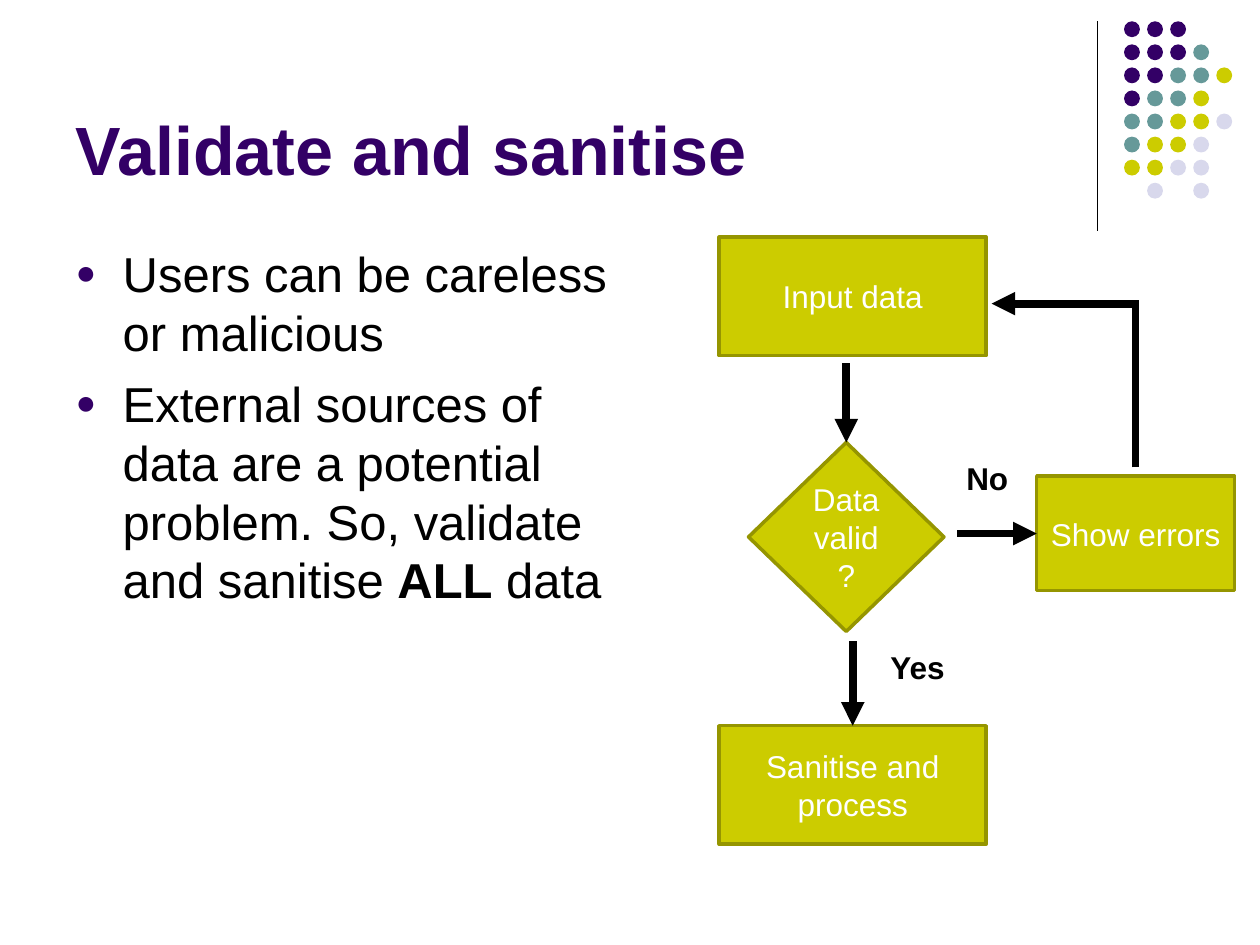
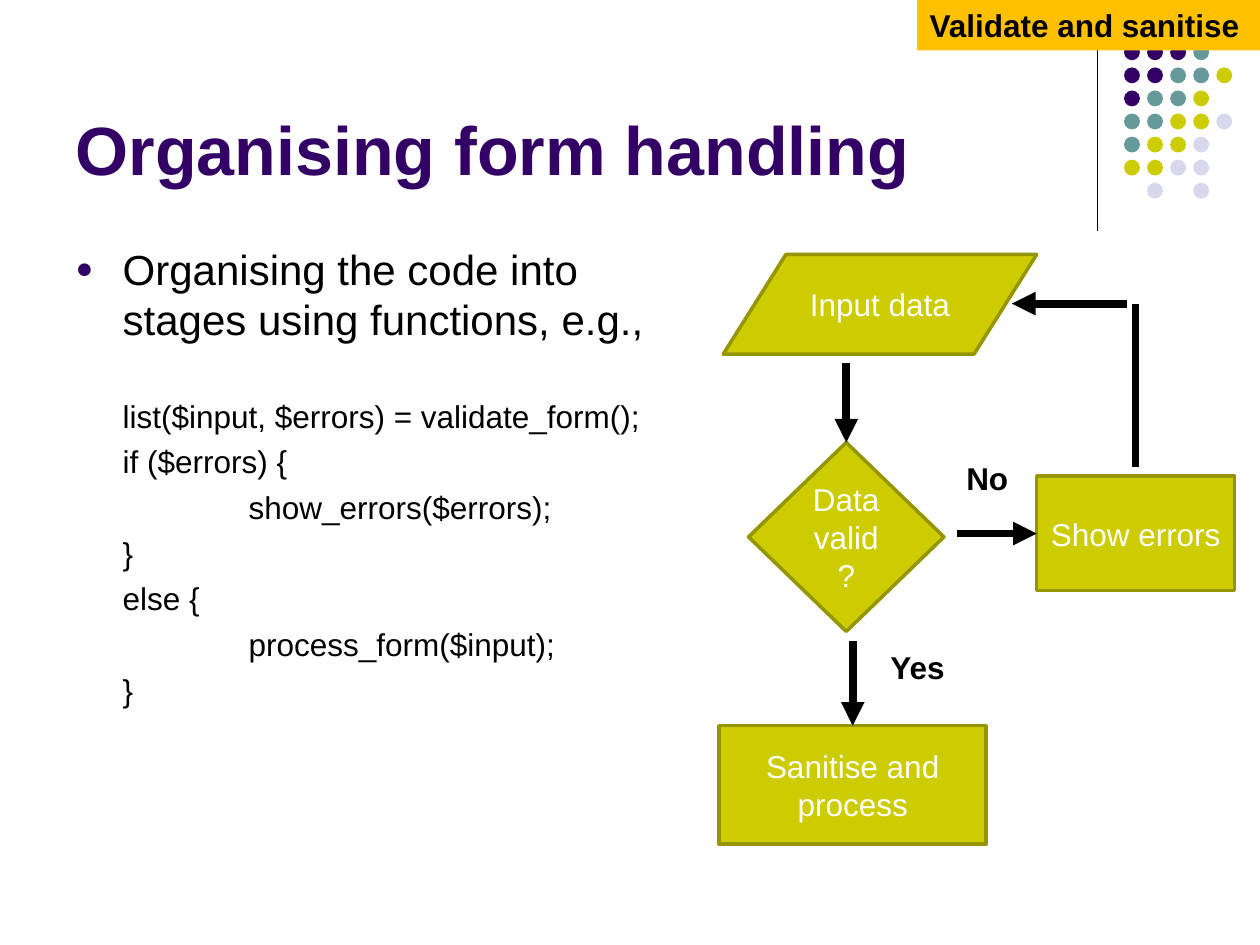
from lxml import etree
from pptx import Presentation
from pptx import util as u
from pptx.dml.color import RGBColor
from pptx.enum import shapes, text
from pptx.oxml import ns

FONT = "Arial"
COLOURS = {
    "purple": "330066",
    "teal": "669999",
    "lime": "CCCC00",
    "olive": "959500",
    "lilac": "D8D8EC",
    "amber": "FFC000",
    "black": "000000",
    "white": "FFFFFF",
}

# One letter per dot; a space leaves a gap.
DOT_ROWS = ["PPP", "PPPT", "PPTTL", "PTTL", "TTLLV", "TLLV", "LLVV", " V V"]
DOT_COLOURS = {"P": "purple", "T": "teal", "L": "lime", "V": "lilac"}
DOT_LEFT, DOT_TOP, DOT_PITCH, DOT_SIZE = 22.66, 0.43, 0.465, 0.32

BULLET_INDENT = 0.95
CODE_TAB = 2.54
TOP, LEFT = 0, 1  # connection sites

SHAPE = shapes.MSO_SHAPE


def rgb(colour):
    return RGBColor.from_string(COLOURS[colour])


def place(shape, left, top, width, height):
    shape.left, shape.top = u.Cm(left), u.Cm(top)
    shape.width, shape.height = u.Cm(width), u.Cm(height)


def add_run(paragraph, words, size, colour="black", bold=False):
    run = paragraph.add_run()
    run.text = words
    font = run.font
    font.name, font.size, font.bold = FONT, u.Pt(size), bold
    font.color.rgb = rgb(colour)


def add_filled_shape(parent, kind, box, fill, outline=None):
    shape = parent.shapes.add_shape(kind, *(u.Cm(length) for length in box))
    shape.shadow.inherit = False
    shape.fill.solid()
    shape.fill.fore_color.rgb = rgb(fill)
    if outline:
        shape.line.color.rgb = rgb(outline)
        shape.line.width = u.Pt(2)
    else:
        shape.line.fill.background()
    return shape


def add_step(slide, kind, box, words):
    """Add one labelled box of the flow chart."""
    step = add_filled_shape(slide, kind, box, "lime", "olive")
    frame = step.text_frame
    frame.word_wrap = True
    frame.vertical_anchor = text.MSO_ANCHOR.MIDDLE
    paragraph = frame.paragraphs[0]
    paragraph.alignment = text.PP_ALIGN.CENTER
    add_run(paragraph, words, 18, "white")
    return step


def add_line(slide, start, end, width=4.5, arrow=False):
    connector = slide.shapes.add_connector(
        shapes.MSO_CONNECTOR.STRAIGHT, *(u.Cm(length) for length in start + end)
    )
    connector.line.color.rgb = rgb("black")
    connector.line.width = u.Pt(width)
    properties = connector.element.spPr
    if arrow:
        outline = properties.find(ns.qn("a:ln"))
        etree.SubElement(outline, ns.qn("a:tailEnd"), type="triangle")
    etree.SubElement(properties, ns.qn("a:effectLst"))
    return connector


def add_arrow_down(slide, start_y, step):
    """Point an arrow straight down at the top of a step."""
    x = (step.left + step.width / 2) / u.Cm(1)
    arrow = add_line(slide, (x, start_y), (x, step.top / u.Cm(1)), arrow=True)
    arrow.end_connect(step, TOP)


def add_arrow_right(slide, start_x, step):
    """Point an arrow straight right at the left side of a step."""
    y = (step.top + step.height / 2) / u.Cm(1)
    arrow = add_line(slide, (start_x, y), (step.left / u.Cm(1), y), arrow=True)
    arrow.end_connect(step, LEFT)


def add_branch_label(slide, box, words):
    label = slide.shapes.add_textbox(*(u.Cm(length) for length in box))
    label.text_frame.word_wrap = False
    add_run(label.text_frame.paragraphs[0], words, 18, bold=True)


def add_dots(slide, first_row):
    group = slide.shapes.add_group_shape()
    for row, letters in enumerate(DOT_ROWS):
        if row < first_row:
            continue
        for column, letter in enumerate(letters):
            if letter == " ":
                continue
            left = DOT_LEFT + column * DOT_PITCH
            top = DOT_TOP + row * DOT_PITCH
            box = (left, top, DOT_SIZE, DOT_SIZE)
            add_filled_shape(group, SHAPE.OVAL, box, DOT_COLOURS[letter])


def add_base_slide(presentation, title, body_width, first_dot_row=0):
    """Add a slide with corner decoration and title; return it and its body frame."""
    slide = presentation.slides.add_slide(presentation.slide_layouts[1])
    add_line(slide, (22.12, 0.43), (22.12, 4.65), width=0.75)
    add_dots(slide, first_dot_row)

    heading = slide.shapes.title
    place(heading, 1.27, 0.33, 20.96, 3.61)
    frame = heading.text_frame
    frame.auto_size = text.MSO_AUTO_SIZE.NONE
    frame.vertical_anchor = text.MSO_ANCHOR.BOTTOM
    frame.paragraphs[0].alignment = text.PP_ALIGN.LEFT
    add_run(frame.paragraphs[0], title, 39, "purple", bold=True)

    body = slide.placeholders[1]
    place(body, 1.27, 4.78, body_width, 12.24)
    body.text_frame.auto_size = text.MSO_AUTO_SIZE.NONE
    return slide, body.text_frame


def next_paragraph(frame, space_before):
    """Return the frame's unused first paragraph, or else a new one."""
    paragraph = frame.paragraphs[0]
    if paragraph.runs:
        paragraph = frame.add_paragraph()
    paragraph.space_before = u.Pt(space_before)
    return paragraph


def set_indent(paragraph, margin, first_line):
    properties = paragraph._p.get_or_add_pPr()
    properties.set("marL", str(u.Cm(margin)))
    properties.set("indent", str(u.Cm(first_line)))
    return properties


def add_bullet(frame, pieces, size, space_before):
    """Add a bulleted paragraph from (words, bold) pieces."""
    paragraph = next_paragraph(frame, space_before)
    properties = set_indent(paragraph, BULLET_INDENT, -BULLET_INDENT)
    colour = etree.SubElement(properties, ns.qn("a:buClr"))
    etree.SubElement(colour, ns.qn("a:srgbClr"), val=COLOURS["purple"])
    etree.SubElement(properties, ns.qn("a:buSzPct"), val="70000")
    etree.SubElement(properties, ns.qn("a:buFont"), typeface=FONT)
    etree.SubElement(properties, ns.qn("a:buChar"), char="●")
    for words, bold in pieces:
        add_run(paragraph, words, size, bold=bold)


def add_code_line(frame, code, tabs, space_before):
    paragraph = next_paragraph(frame, space_before)
    paragraph.level = 1
    properties = set_indent(paragraph, BULLET_INDENT + tabs * CODE_TAB, 0)
    etree.SubElement(properties, ns.qn("a:buNone"))
    add_run(paragraph, code, 18)


def add_flow_chart(slide, input_kind, input_box, return_start, return_end):
    """Draw the validation loop; the return arrow's ends are x positions."""
    add_step(slide, input_kind, input_box, "Input data")
    decision = add_step(
        slide, SHAPE.FLOWCHART_DECISION, (15.09, 8.92, 3.94, 3.81), "Data valid?"
    )
    process = add_step(
        slide, SHAPE.FLOWCHART_PROCESS, (14.5, 14.63, 5.38, 2.39),
        "Sanitise and process",
    )
    errors = add_step(slide, SHAPE.RECTANGLE, (20.9, 9.6, 3.99, 2.31), "Show errors")

    add_arrow_down(slide, 7.32, decision)
    add_arrow_down(slide, 12.93, process)
    add_arrow_right(slide, 19.3, errors)
    add_line(slide, (22.89, 9.42), (22.89, 6.12))
    add_line(slide, (return_start, 6.12), (return_end, 6.12), arrow=True)

    add_branch_label(slide, (19.23, 9.12, 1.35, 1.02), "No")
    add_branch_label(slide, (17.7, 12.93, 1.63, 1.02), "Yes")


def add_section_tag(slide, words):
    tag = add_filled_shape(slide, SHAPE.RECTANGLE, (18.49, 0, 6.91, 1.02), "amber")
    frame = tag.text_frame
    frame.word_wrap = True
    frame.vertical_anchor = text.MSO_ANCHOR.TOP
    frame.paragraphs[0].alignment = text.PP_ALIGN.LEFT
    add_run(frame.paragraphs[0], words, 18, bold=True)


def add_validate_slide(presentation):
    slide, body = add_base_slide(presentation, "Validate and sanitise", 11.23)
    add_bullet(body, [("Users can be careless or malicious", False)], 28, 7)
    external_sources = [
        ("External sources of data are a potential problem. "
         "So, validate and sanitise ", False),
        ("ALL", True),
        (" data", False),
    ]
    add_bullet(body, external_sources, 28, 7)
    add_flow_chart(
        slide, SHAPE.FLOWCHART_PROCESS, (14.5, 4.78, 5.38, 2.39), 22.96, 19.99
    )


def add_form_handling_slide(presentation):
    slide, body = add_base_slide(
        presentation, "Organising form handling", 11.96, first_dot_row=1
    )
    introduction = "Organising the code into stages using functions, e.g.,"
    add_bullet(body, [(introduction, False)], 24, 6)
    code_lines = [
        ("list($input, $errors) = validate_form();", 0),
        ("if ($errors) {", 0),
        ("show_errors($errors);", 1),
        ("}", 0),
        ("else {", 0),
        ("process_form($input);", 1),
        ("}", 0),
    ]
    for number, (code, tabs) in enumerate(code_lines):
        add_code_line(body, code, tabs, 4.5 if number else 30)
    add_flow_chart(
        slide, SHAPE.FLOWCHART_DATA, (14.58, 5.13, 6.32, 2.01), 22.71, 20.4
    )
    add_section_tag(slide, "Validate and sanitise")


def main():
    presentation = Presentation()
    presentation.slide_width, presentation.slide_height = u.Cm(25.4), u.Cm(19.05)
    add_validate_slide(presentation)
    add_form_handling_slide(presentation)
    presentation.save("out.pptx")


if __name__ == "__main__":
    main()
